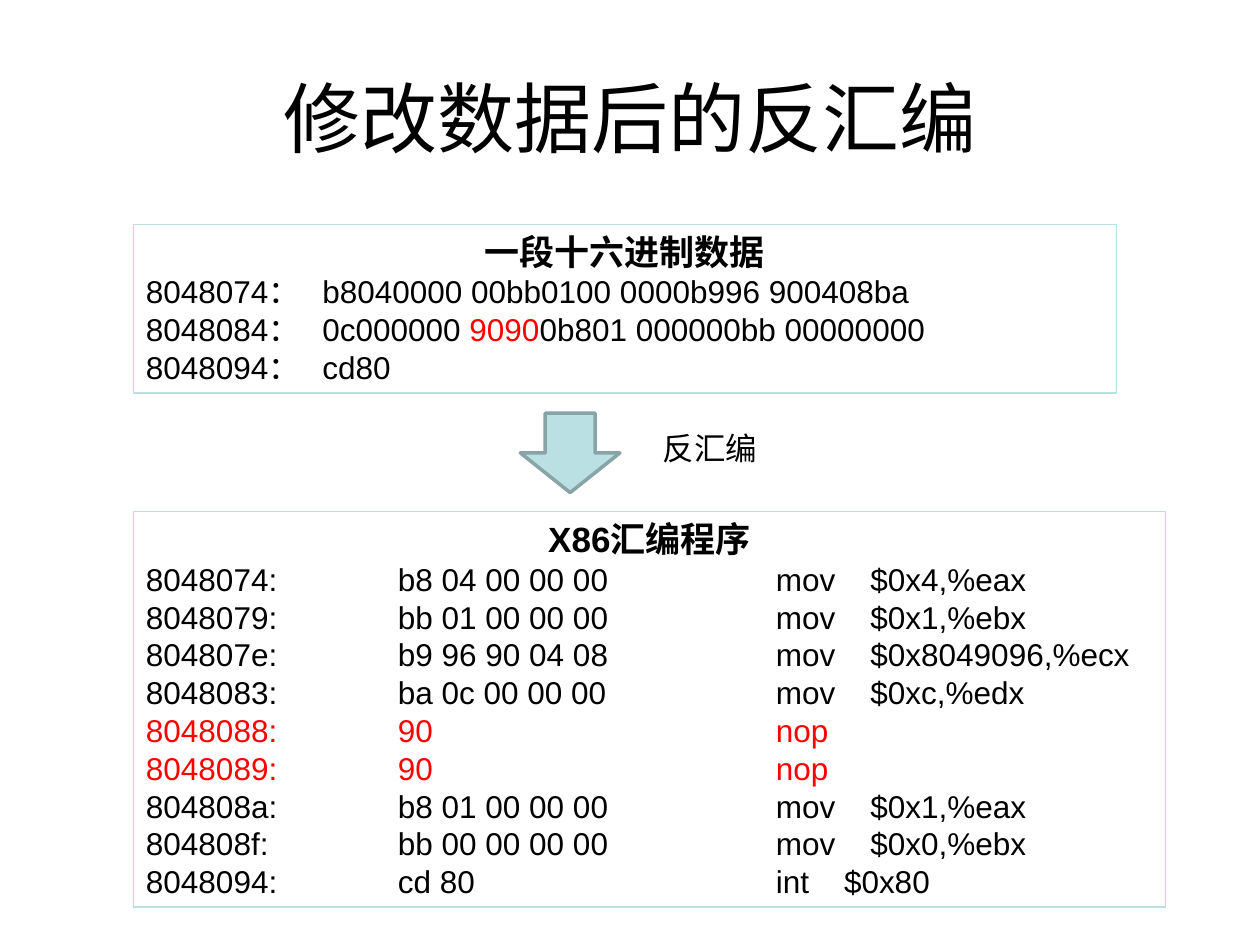
from dataclasses import dataclass

import lxml.etree
import pptx
import pptx.dml.color
import pptx.enum.shapes
import pptx.enum.text
import pptx.oxml.ns
import pptx.util

Inches = pptx.util.Inches
ALIGN = pptx.enum.text.PP_ALIGN
ANCHOR = pptx.enum.text.MSO_ANCHOR
SHAPE = pptx.enum.shapes.MSO_SHAPE

COLORS = {"text": "000000", "changed": "FF0000", "accent": "BBE0E3", "arrow_line": "89A4A7"}
FONT = "Arial"


@dataclass
class Area:
    left: float
    top: float
    width: float
    height: float

    def lengths(self) -> list:
        return [Inches(value) for value in (self.left, self.top, self.width, self.height)]


@dataclass
class Span:
    text: str
    color: str = "text"


@dataclass
class Line:
    spans: list[Span]
    tab_stops: tuple[float, ...]


@dataclass
class Instruction:
    address: str
    machine_code: str
    mnemonic: str
    operands: str = ""

    def line(self) -> Line:
        cells = [self.address + ":", self.machine_code, self.mnemonic]
        if self.operands:
            cells.append(self.operands)
        color = "changed" if self.mnemonic == "nop" else "text"
        operand_stop = 5.54 if self.mnemonic == "int" else 5.75
        return Line([Span("\t".join(cells), color)], (2, 5, operand_stop))


DATA_STOPS = (1.4,)
DATA_LINES = [
    Line([Span("8048074：\tb8040000 00bb0100 0000b996 900408ba")], DATA_STOPS),
    Line([Span("8048084：\t0c000000 "), Span("9090", "changed"),
          Span("0b801 000000bb 00000000")], DATA_STOPS),
    Line([Span("8048094：\tcd80")], DATA_STOPS),
]

INSTRUCTIONS = [
    Instruction("8048074", "b8 04 00 00 00", "mov", "$0x4,%eax"),
    Instruction("8048079", "bb 01 00 00 00", "mov", "$0x1,%ebx"),
    Instruction("804807e", "b9 96 90 04 08", "mov", "$0x8049096,%ecx"),
    Instruction("8048083", "ba 0c 00 00 00", "mov", "$0xc,%edx"),
    Instruction("8048088", "90", "nop"),
    Instruction("8048089", "90", "nop"),
    Instruction("804808a", "b8 01 00 00 00", "mov", "$0x1,%eax"),
    Instruction("804808f", "bb 00 00 00 00", "mov", "$0x0,%ebx"),
    Instruction("8048094", "cd 80", "int", "$0x80"),
]


def rgb(name: str) -> pptx.dml.color.RGBColor:
    return pptx.dml.color.RGBColor.from_string(COLORS[name])


def format_run(run, size: float, color: str = "text", bold: bool = False) -> None:
    run.font.name = FONT
    run.font.size = pptx.util.Pt(size)
    run.font.bold = bold
    run.font.color.rgb = rgb(color)


def set_tab_stops(paragraph, stops: tuple[float, ...]) -> None:
    """Add left-aligned tab stops, measured in inches from the text edge."""
    qn = pptx.oxml.ns.qn
    properties = paragraph._p.get_or_add_pPr()
    tab_list = lxml.etree.SubElement(properties, qn("a:tabLst"))
    for stop in stops:
        lxml.etree.SubElement(tab_list, qn("a:tab"), pos=str(Inches(stop)), algn="l")


def add_label(slide, area: Area, text: str, size: float, alignment, anchor) -> None:
    text_frame = slide.shapes.add_textbox(*area.lengths()).text_frame
    text_frame.word_wrap = True
    text_frame.vertical_anchor = anchor
    text_frame.text = text
    paragraph = text_frame.paragraphs[0]
    paragraph.alignment = alignment
    format_run(paragraph.runs[0], size)


def add_listing(slide, area: Area, heading: str, lines: list[Line]) -> None:
    """Draw an outlined box with a bold centred heading above tabbed lines."""
    shape = slide.shapes.add_shape(SHAPE.RECTANGLE, *area.lengths())
    shape.shadow.inherit = False
    shape.fill.background()
    shape.line.color.rgb = rgb("accent")
    shape.line.width = pptx.util.Pt(0.75)
    text_frame = shape.text_frame
    text_frame.word_wrap = True
    text_frame.vertical_anchor = ANCHOR.TOP
    text_frame.text = heading
    title = text_frame.paragraphs[0]
    title.alignment = ALIGN.CENTER
    format_run(title.runs[0], 20, bold=True)
    for line in lines:
        paragraph = text_frame.add_paragraph()
        paragraph.alignment = ALIGN.LEFT
        set_tab_stops(paragraph, line.tab_stops)
        for span in line.spans:
            run = paragraph.add_run()
            run.text = span.text
            format_run(run, 18, span.color)


def add_down_arrow(slide, area: Area) -> None:
    arrow = slide.shapes.add_shape(SHAPE.DOWN_ARROW, *area.lengths())
    arrow.shadow.inherit = False
    arrow.fill.solid()
    arrow.fill.fore_color.rgb = rgb("accent")
    arrow.line.color.rgb = rgb("arrow_line")
    arrow.line.width = pptx.util.Pt(2)


def main() -> None:
    presentation = pptx.Presentation()
    presentation.slide_width = Inches(10)
    presentation.slide_height = Inches(7.5)
    slide = presentation.slides.add_slide(presentation.slide_layouts[6])

    add_label(slide, Area(0.5, 0.3, 9, 1.25), "修改数据后的反汇编", 44,
              ALIGN.CENTER, ANCHOR.MIDDLE)
    add_listing(slide, Area(1.06, 1.78, 7.8, 1.34), "一段十六进制数据", DATA_LINES)
    add_listing(slide, Area(1.06, 4.06, 8.19, 3.14), "X86汇编程序",
                [instruction.line() for instruction in INSTRUCTIONS])
    add_down_arrow(slide, Area(4.13, 3.28, 0.79, 0.63))
    add_label(slide, Area(5.16, 3.36, 1.18, 0.4), "反汇编", 18, ALIGN.LEFT, ANCHOR.TOP)

    presentation.save("out.pptx")


if __name__ == "__main__":
    main()
